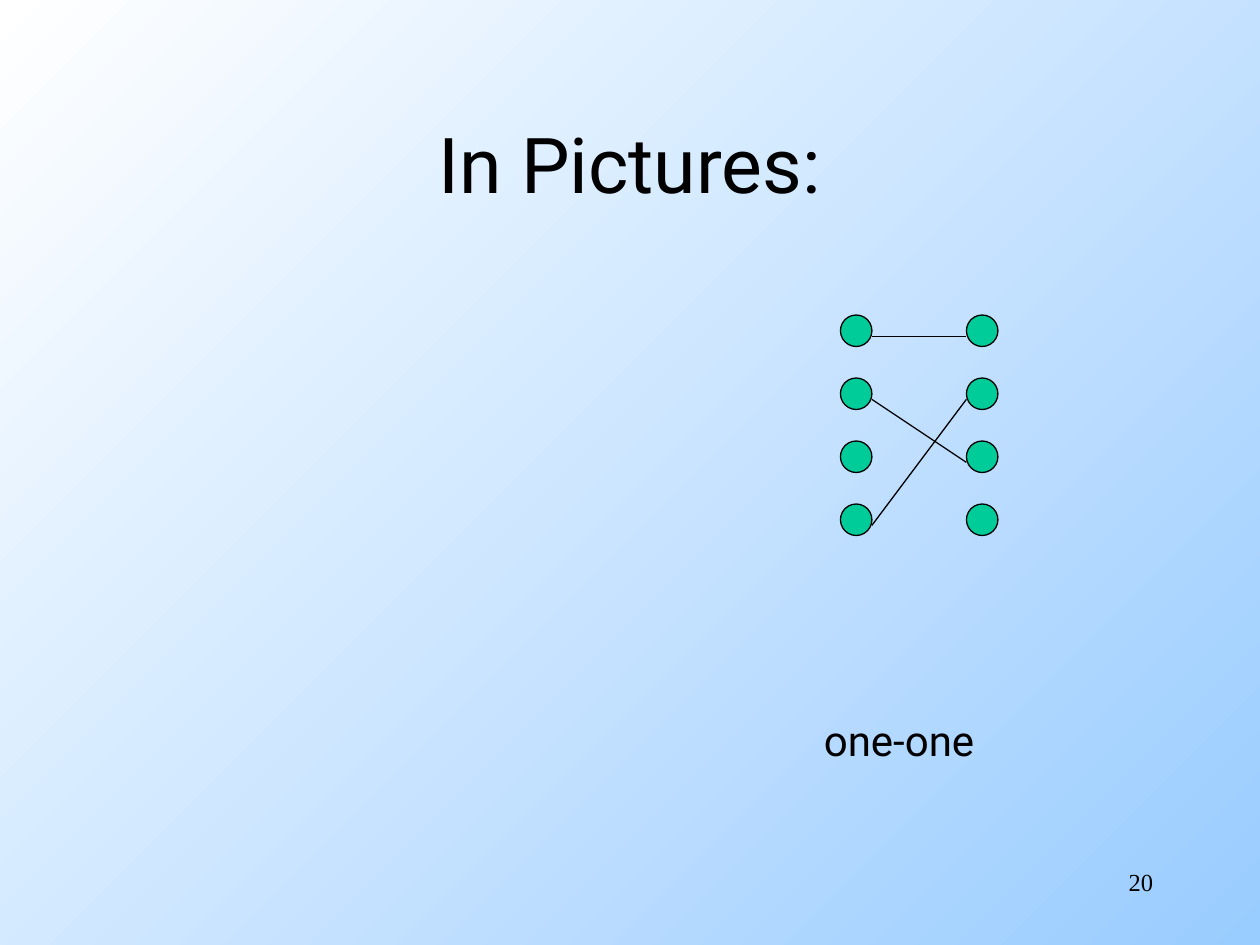
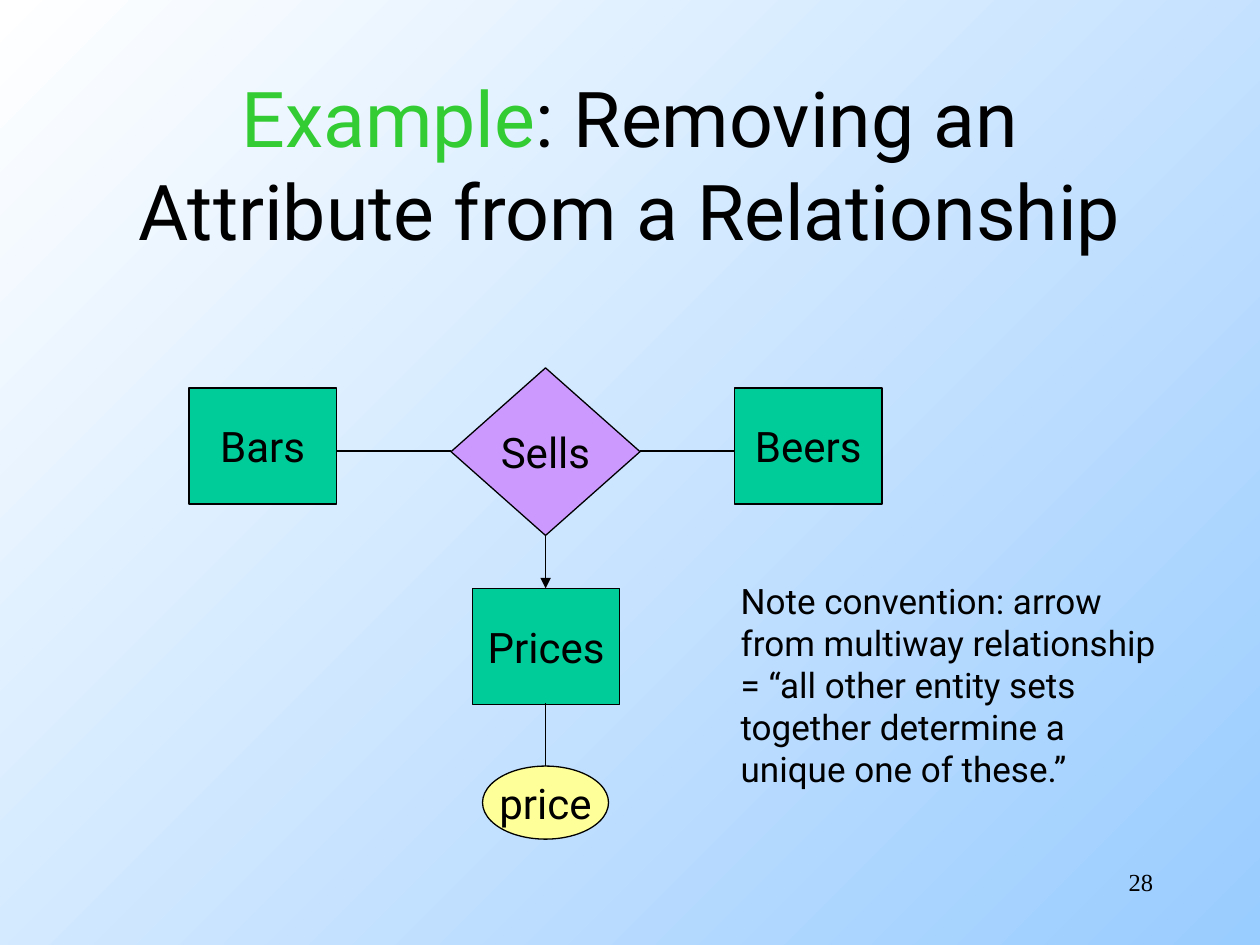
from typing import NamedTuple

from lxml import etree
from pptx import Presentation
from pptx.dml.color import RGBColor
from pptx.enum import shapes, text
from pptx.oxml import ns
from pptx.util import Inches, Pt

COLORS = {
    "ink": "000000",
    "entity": "00CC99",
    "relationship": "CC99FF",
    "attribute": "FFFF99",
    "example": "33CC33",
    "sky": "99CCFF",
    "white": "FFFFFF",
}
BODY_FONT = "Roboto"
NUMBER_FONT = "Times New Roman"
SHAPE = shapes.MSO_SHAPE
ALIGN = text.PP_ALIGN


class Box(NamedTuple):
    left: float
    top: float
    width: float
    height: float

    def inches(self) -> list:
        return [Inches(side) for side in self]


class Node(NamedTuple):
    label: str
    kind: SHAPE
    color: str
    box: Box


class Link(NamedTuple):
    start: tuple[float, float]
    end: tuple[float, float]
    arrow: bool = False


def rgb(color: str) -> RGBColor:
    return RGBColor.from_string(COLORS[color])


def style_paragraph(paragraph, size: float, align=ALIGN.LEFT, font: str = BODY_FONT) -> None:
    paragraph.alignment = align
    paragraph.font.size = Pt(size)
    paragraph.font.name = font
    paragraph.font.color.rgb = rgb("ink")


def paint_background(master) -> None:
    fill = master.background.fill
    fill.gradient()
    fill.gradient_angle = 135
    for stop, color in zip(fill.gradient_stops, ("sky", "white")):
        stop.color.rgb = rgb(color)


def add_text(slide, box: Box, lines: list[str], size: float, align=ALIGN.LEFT,
             font: str = BODY_FONT, wrap: bool = False) -> None:
    frame = slide.shapes.add_textbox(*box.inches()).text_frame
    frame.word_wrap = wrap
    frame.text = "\n".join(lines)
    for paragraph in frame.paragraphs:
        style_paragraph(paragraph, size, align, font)


def add_titled_slide(deck, title: str, number: int, lead: str = ""):
    slide = deck.slides.add_slide(deck.slide_layouts[5])
    heading = slide.shapes.title
    heading.left, heading.top, heading.width, heading.height = Box(0.75, 0.67, 8.5, 1.25).inches()
    frame = heading.text_frame
    frame.auto_size = text.MSO_AUTO_SIZE.NONE
    frame.vertical_anchor = text.MSO_ANCHOR.MIDDLE
    paragraph = frame.paragraphs[0]
    style_paragraph(paragraph, 44, ALIGN.CENTER)
    if lead:
        lead_run = paragraph.add_run()
        lead_run.text = lead
        lead_run.font.color.rgb = rgb("example")
    paragraph.add_run().text = title
    add_text(slide, Box(7.17, 6.83, 2.08, 0.5), [str(number)], 14,
             ALIGN.RIGHT, NUMBER_FONT, wrap=True)
    return slide


def add_node(slide, node: Node) -> None:
    figure = slide.shapes.add_shape(node.kind, *node.box.inches())
    figure.shadow.inherit = False
    figure.fill.solid()
    figure.fill.fore_color.rgb = rgb(node.color)
    figure.line.color.rgb = rgb("ink")
    figure.line.width = Pt(0.75)
    if node.label:
        frame = figure.text_frame
        frame.word_wrap = False
        frame.vertical_anchor = text.MSO_ANCHOR.MIDDLE
        frame.text = node.label
        style_paragraph(frame.paragraphs[0], 24, ALIGN.CENTER)


def add_link(slide, link: Link) -> None:
    ends = [Inches(value) for value in (*link.start, *link.end)]
    connector = slide.shapes.add_connector(shapes.MSO_CONNECTOR.STRAIGHT, *ends)
    connector.line.color.rgb = rgb("ink")
    connector.line.width = Pt(0.75)
    if link.arrow:
        outline = connector.line._get_or_add_ln()
        etree.SubElement(outline, ns.qn("a:tailEnd"), type="triangle")
    etree.SubElement(connector._element.spPr, ns.qn("a:effectLst"))


def build_one_one(deck) -> None:
    slide = add_titled_slide(deck, "In Pictures:", 20)
    rows = [2.5 + 0.5 * row for row in range(4)]
    domain, image, dot = 6.67, 7.67, 0.25
    for column in (domain, image):
        for top in rows:
            add_node(slide, Node("", SHAPE.OVAL, "entity", Box(column, top, dot, dot)))
    for source, target in ((0, 0), (1, 2), (3, 1)):
        add_link(slide, Link((domain + dot, rows[source] + 0.17), (image, rows[target] + 0.17)))
    add_text(slide, Box(6.44, 5.62, 1.49, 0.5), ["one-one"], 24)


def build_removed_attribute(deck) -> None:
    slide = add_titled_slide(deck, ": Removing an Attribute from a Relationship", 28, "Example")
    for entity, left, top in (("Bars", 1.5, 3.08), ("Beers", 5.83, 3.08), ("Prices", 3.75, 4.67)):
        add_node(slide, Node(entity, SHAPE.RECTANGLE, "entity", Box(left, top, 1.17, 0.92)))
    add_node(slide, Node("Sells", SHAPE.DIAMOND, "relationship", Box(3.58, 2.92, 1.5, 1.33)))
    add_node(slide, Node("price", SHAPE.OVAL, "attribute", Box(3.83, 6.08, 1, 0.58)))
    across, down = 3.58, 4.33
    for link in (
        Link((2.67, across), (3.58, across)),
        Link((5.08, across), (5.83, across)),
        Link((down, 4.25), (down, 4.67), arrow=True),
        Link((down, 5.58), (down, 6.08)),
    ):
        add_link(slide, link)
    convention = [
        "Note convention: arrow",
        "from multiway relationship",
        "= “all other entity sets",
        "together determine a",
        "unique one of these.”",
    ]
    add_text(slide, Box(5.78, 4.55, 3.74, 1.77), convention, 20)


def main() -> None:
    deck = Presentation()
    deck.slide_width, deck.slide_height = Inches(10), Inches(7.5)
    paint_background(deck.slide_master)
    build_one_one(deck)
    build_removed_attribute(deck)
    deck.save("out.pptx")


if __name__ == "__main__":
    main()
